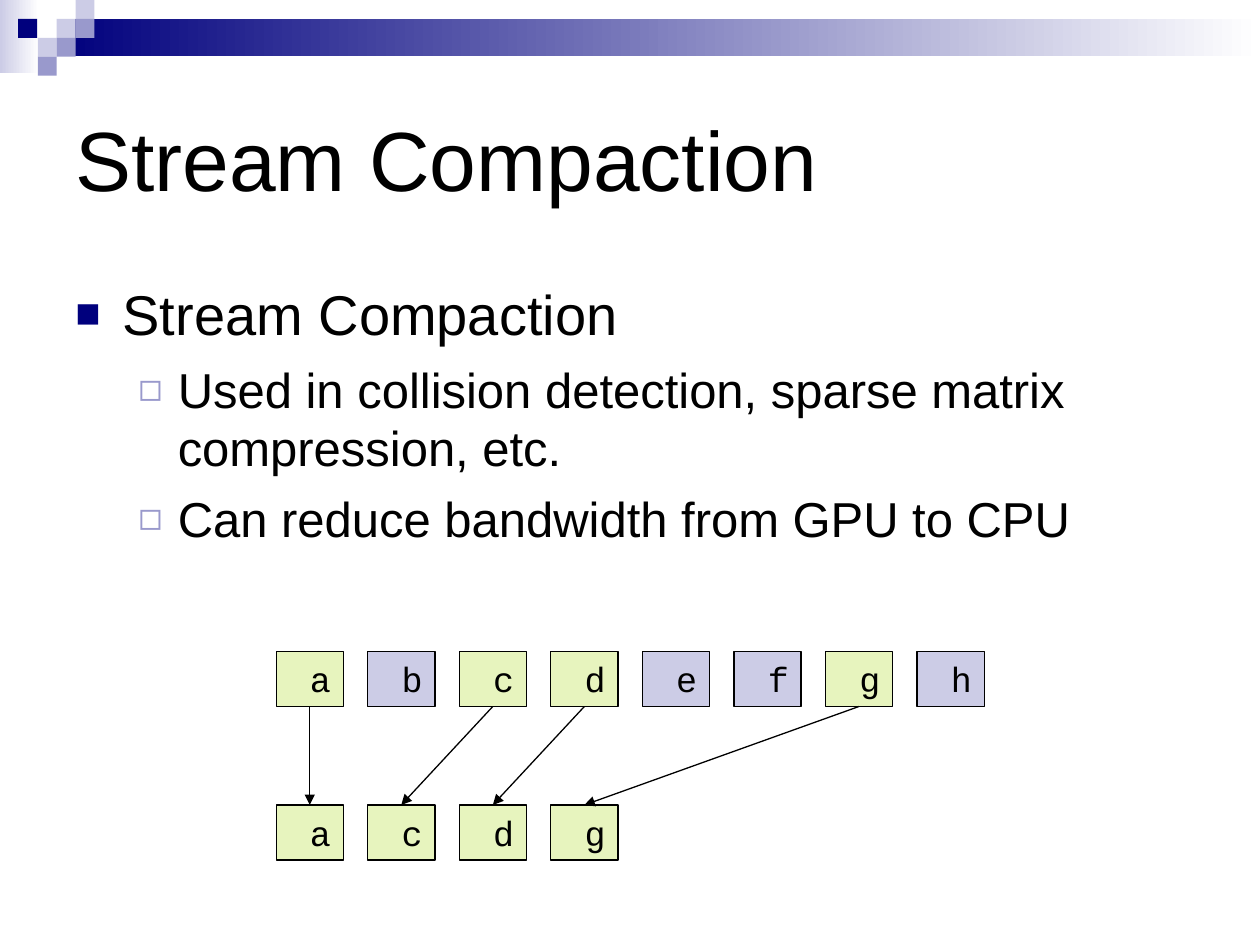
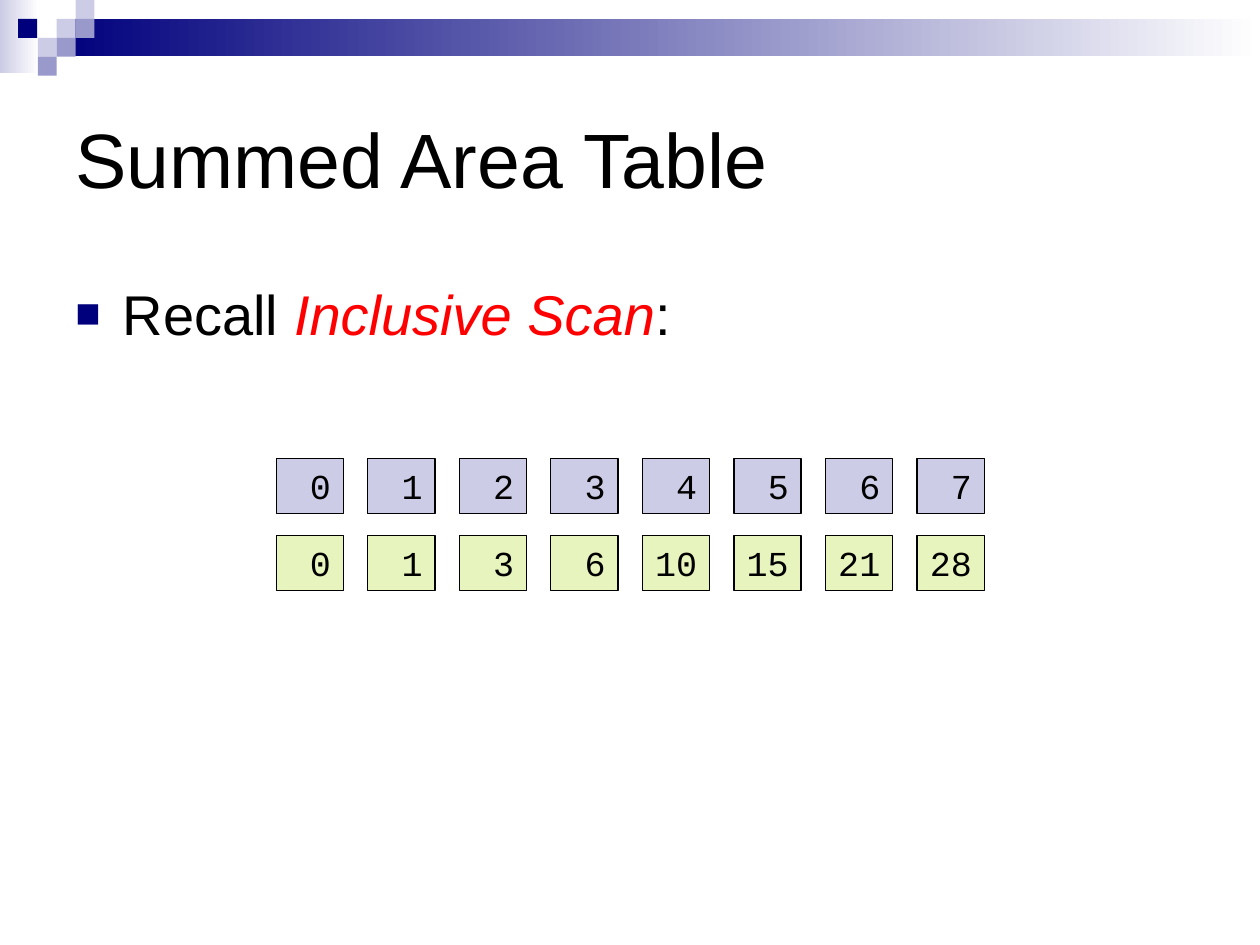
from lxml import etree
from pptx import Presentation
from pptx.dml.color import RGBColor
from pptx.enum.shapes import MSO_CONNECTOR, MSO_SHAPE
from pptx.enum.text import MSO_ANCHOR, PP_ALIGN
from pptx.oxml.ns import qn
from pptx.util import Pt

BLACK, WHITE, RED = "000000", "FFFFFF", "FF0000"
NAVY, VIOLET, LAVENDER, LIME = "00007D", "9999CC", "CCCCE6", "E7F4BE"
TEXT_FONT, CELL_FONT = "Arial", "Courier New"

SQUARE = 10.8
# Column, row and colour of each square beside the top band
SQUARES = [
    (1, 1, LAVENDER), (2, 0, LAVENDER), (2, 1, VIOLET), (0, 2, LAVENDER),
    (-1.04, 1, NAVY), (1, 2, VIOLET), (0, 3, VIOLET),
]
SQUARES_LEFT = 21.6

CELL_LEFT, CELL_PITCH = 157.8, 52.32
CELL_WIDTH, CELL_HEIGHT = 38.4, 31.5

# Left margin, hanging indent, space before, character, colour, size in %, text size
BULLETS = [
    (27, 27, 8, "■", NAVY, 75, 32),
    (58.5, 22.5, 7, "◻", VIOLET, 80, 28),
]


def rgb(hex_color):
    return RGBColor.from_string(hex_color)


def add_rectangle(slide, left, top, width, height, *colors):
    """Add a borderless rectangle; two colours make a left-to-right gradient."""
    shape = slide.shapes.add_shape(
        MSO_SHAPE.RECTANGLE, Pt(left), Pt(top), Pt(width), Pt(height))
    shape.shadow.inherit = False
    shape.line.fill.background()
    if len(colors) == 1:
        shape.fill.solid()
        shape.fill.fore_color.rgb = rgb(colors[0])
    else:
        shape.fill.gradient()
        shape.fill.gradient_angle = 0
        for stop, color in zip(shape.fill.gradient_stops, colors):
            stop.color.rgb = rgb(color)
    return shape


def style_font(font, name, size, color=BLACK):
    font.name = name
    font.size = Pt(size)
    font.color.rgb = rgb(color)


def add_text_box(slide, left, top, width, height):
    frame = slide.shapes.add_textbox(
        Pt(left), Pt(top), Pt(width), Pt(height)).text_frame
    frame.word_wrap = True
    return frame


def add_header(slide, title, size):
    """Add the top band, its squares and the slide title."""
    add_rectangle(slide, 0, 0, 22.3, 41.8, LAVENDER, WHITE)
    add_rectangle(slide, 32.4, SQUARE, 687.6, 21.4, NAVY, WHITE)
    for column, row, color in SQUARES:
        add_rectangle(slide, SQUARES_LEFT + column * SQUARE, row * SQUARE,
                      SQUARE, SQUARE, color)
    frame = add_text_box(slide, 36, 36, 648, 108)
    frame.vertical_anchor = MSO_ANCHOR.MIDDLE
    paragraph = frame.paragraphs[0]
    paragraph.text = title
    style_font(paragraph.font, TEXT_FONT, size)


def set_bullet(paragraph, level):
    margin, hanging, before, character, color, percent, size = BULLETS[level]
    paragraph.level = level
    paragraph.space_before = Pt(before)
    style_font(paragraph.font, TEXT_FONT, size)
    properties = paragraph._p.get_or_add_pPr()
    properties.set("marL", str(Pt(margin)))
    properties.set("indent", str(-Pt(hanging)))
    bullet_color = etree.Element(qn("a:buClr"))
    etree.SubElement(bullet_color, qn("a:srgbClr"), val=color)
    bullet_parts = [
        bullet_color,
        etree.Element(qn("a:buSzPct"), val=str(percent * 1000)),
        etree.Element(qn("a:buFont"), typeface=TEXT_FONT),
        etree.Element(qn("a:buChar"), char=character),
    ]
    position = properties.index(properties.find(qn("a:spcBef"))) + 1
    properties[position:position] = bullet_parts


def add_bullets(slide, width, height, items):
    """Add (level, runs) items, where each run is plain text or (text, colour) in italics."""
    frame = add_text_box(slide, 36, 156.2, width, height)
    for index, (level, runs) in enumerate(items):
        paragraph = frame.add_paragraph() if index else frame.paragraphs[0]
        set_bullet(paragraph, level)
        for item in runs:
            run = paragraph.add_run()
            if isinstance(item, tuple):
                run.text, color = item
                run.font.italic = True
                run.font.color.rgb = rgb(color)
            else:
                run.text = item


def add_cell_row(slide, top, labels, colors):
    """Add a row of array cells and return them."""
    cells = []
    for index, (label, color) in enumerate(zip(labels, colors)):
        cell = add_rectangle(slide, CELL_LEFT + index * CELL_PITCH, top,
                             CELL_WIDTH, CELL_HEIGHT, color)
        cell.line.color.rgb = rgb(BLACK)
        cell.line.width = Pt(0.75)
        frame = cell.text_frame
        frame.vertical_anchor = MSO_ANCHOR.TOP
        frame.margin_left = 0
        paragraph = frame.paragraphs[0]
        paragraph.text = label
        paragraph.alignment = PP_ALIGN.RIGHT
        style_font(paragraph.font, CELL_FONT, 20)
        cells.append(cell)
    return cells


def add_arrow(slide, source, target):
    """Add an arrow from the bottom of one cell to the top of another."""
    arrow = slide.shapes.add_connector(MSO_CONNECTOR.STRAIGHT, 0, 0, 0, 0)
    arrow.begin_connect(source, 2)
    arrow.end_connect(target, 0)
    arrow.line.color.rgb = rgb(BLACK)
    arrow.line.width = Pt(0.75)
    etree.SubElement(arrow.line._get_or_add_ln(), qn("a:tailEnd"), type="triangle")
    etree.SubElement(arrow._element.spPr, qn("a:effectLst"))


def build_stream_compaction(slide):
    add_header(slide, "Stream Compaction", 48)
    add_bullets(slide, 672, 306, [
        (0, ["Stream Compaction"]),
        (1, ["Used in collision detection, sparse matrix compression, etc."]),
        (1, ["Can reduce bandwidth from GPU to CPU"]),
    ])
    elements, kept = "abcdefgh", "acdg"
    colors = [LIME if element in kept else LAVENDER for element in elements]
    sources = add_cell_row(slide, 372.2, elements, colors)
    targets = add_cell_row(slide, 460, kept, [LIME] * len(kept))
    for element, target in zip(kept, targets):
        add_arrow(slide, sources[elements.index(element)], target)


def build_summed_area_table(slide):
    add_header(slide, "Summed Area Table", 44)
    add_bullets(slide, 648, 54, [(0, ["Recall ", ("Inclusive Scan", RED), ":"])])
    values = range(8)
    sums = [sum(values[:index + 1]) for index in values]
    for top, numbers, color in [(262, values, LAVENDER), (306, sums, LIME)]:
        add_cell_row(slide, top, map(str, numbers), [color] * len(numbers))


def main():
    presentation = Presentation()
    presentation.slide_width = Pt(720)
    presentation.slide_height = Pt(540)
    blank_layout = presentation.slide_layouts[6]
    for build in (build_stream_compaction, build_summed_area_table):
        build(presentation.slides.add_slide(blank_layout))
    presentation.save("out.pptx")


if __name__ == "__main__":
    main()
